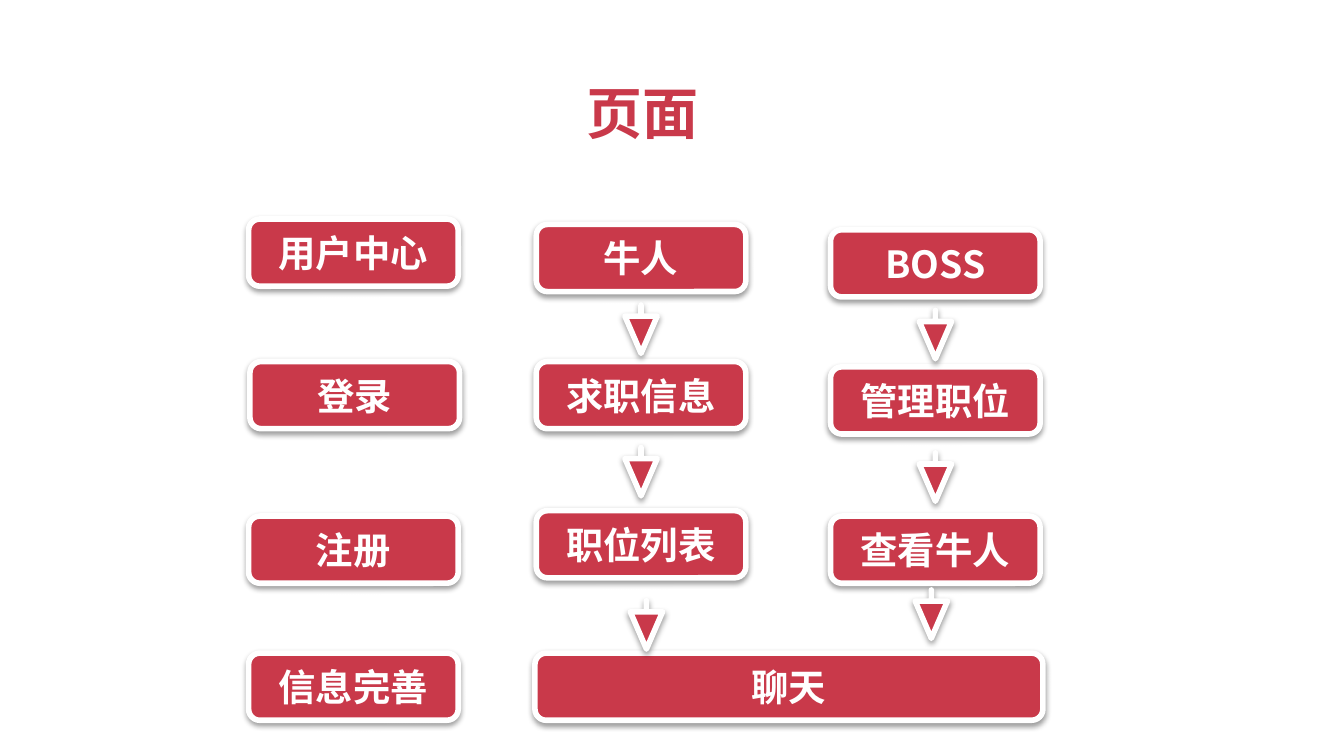
import lxml.etree
import pptx
import pptx.dml.color
import pptx.enum.shapes
import pptx.enum.text
import pptx.oxml
import pptx.oxml.ns
import pptx.util

Inches = pptx.util.Inches
Pt = pptx.util.Pt
KIND = pptx.enum.shapes.MSO_SHAPE
RED = pptx.dml.color.RGBColor(0xC9, 0x39, 0x4A)
WHITE = pptx.dml.color.RGBColor(0xFF, 0xFF, 0xFF)
FACE = "Noto Sans CJK SC"
WIDE, HIGH = 1.56, 0.5
SHADE = (
    '<a:outerShdw %s blurRad="%d" dist="%d" dir="5400000" rotWithShape="0">'
    '<a:srgbClr val="000000"><a:alpha val="38000"/></a:srgbClr></a:outerShdw>'
    % (pptx.oxml.ns.nsdecls("a"), Pt(3.1), Pt(1.6))
)


def apply(item, form):
    for name, value in form.items():
        setattr(item, name, value)


def place(shape, left, top, wide, high):
    apply(shape, {"left": Inches(left), "top": Inches(top),
                  "width": Inches(wide), "height": Inches(high)})


def write(shape, words, size, color):
    frame = shape.text_frame
    apply(frame, {"text": words, "word_wrap": True,
                  "vertical_anchor": pptx.enum.text.MSO_ANCHOR.MIDDLE})
    line = frame.paragraphs[0]
    line.alignment = pptx.enum.text.PP_ALIGN.CENTER
    font = line.runs[0].font
    apply(font, {"name": FACE, "size": Pt(size), "bold": True})
    font.color.rgb = color
    props = line.runs[0]._r.get_or_add_rPr()
    east = lxml.etree.SubElement(props, pptx.oxml.ns.qn("a:ea"))
    east.set("typeface", FACE)


def draw(slide, kind, left, top, wide, high, bends):
    shape = slide.shapes.add_shape(kind, 0, 0, 0, 0)
    place(shape, left, top, wide, high)
    for spot, bend in enumerate(bends):
        shape.adjustments[spot] = bend
    shape.fill.solid()
    shape.fill.fore_color.rgb = RED
    shape.line.color.rgb = WHITE
    shape.line.width = Pt(3)
    edge = shape.line._get_or_add_ln()
    lxml.etree.SubElement(edge, pptx.oxml.ns.qn("a:round"))
    shape.shadow.inherit = False
    glow = shape._element.spPr.find(pptx.oxml.ns.qn("a:effectLst"))
    glow.append(pptx.oxml.parse_xml(SHADE))
    return shape


def add_box(slide, words, left, top, wide=WIDE):
    shape = draw(slide, KIND.ROUNDED_RECTANGLE, left, top, wide, HIGH, [0.167])
    write(shape, words, 20, WHITE)


def add_title(slide, words, left, top, wide, high):
    title = slide.shapes.title
    place(title, left, top, wide, high)
    write(title, words, 30, RED)


def add_menu(slide, left, top):
    rows = [("用户中心", 0, 0), ("登录", 0.01, 1.06),
            ("注册", 0, 2.21), ("信息完善", 0, 3.23)]
    for words, right, down in rows:
        add_box(slide, words, left + right, top + down)


def add_flow(slide, names, left, top, last):
    for words, down in zip(names, (0, 1.02, 2.13)):
        add_box(slide, words, left, top + down)
    for right, down in [(0.66, 0.6), (0.66, 1.66), last]:
        draw(slide, KIND.DOWN_ARROW, left + right, top + down,
             0.24, 0.36, [0, 1.153])


def main():
    deck = pptx.Presentation()
    wide = Inches(10)
    apply(deck, {"slide_width": wide, "slide_height": wide * 9 // 16})
    slide = deck.slides.add_slide(deck.slide_layouts.get_by_name("Title Only"))
    add_title(slide, "页面", 0.28, 0.52, 9, 0.63)
    add_menu(slide, 1.85, 1.63)
    add_box(slide, "聊天", 3.98, 4.86, 3.78)
    add_flow(slide, ["牛人", "求职信息", "职位列表"], 3.99, 1.67, (0.7, 2.8))
    add_flow(slide, ["BOSS", "管理职位", "查看牛人"], 6.18, 1.71, (0.63, 2.68))
    deck.save("out.pptx")


if __name__ == "__main__":
    main()
